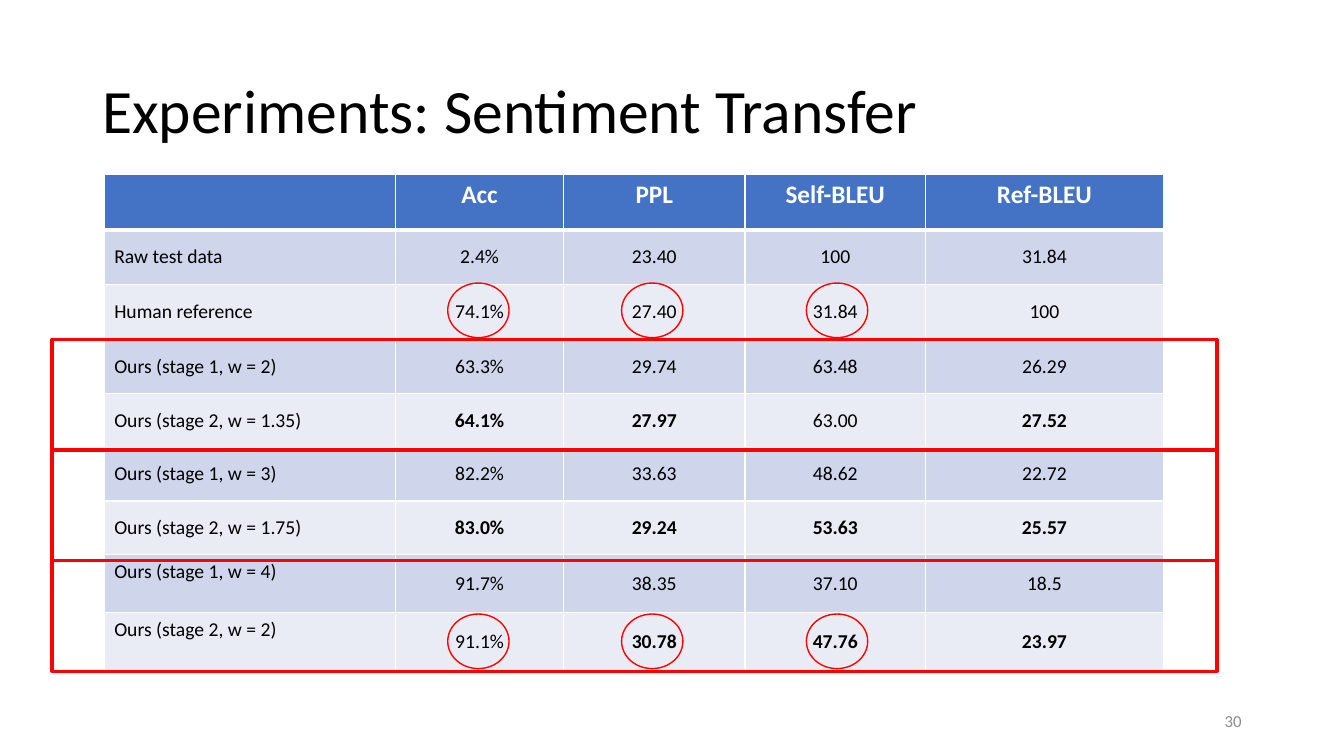
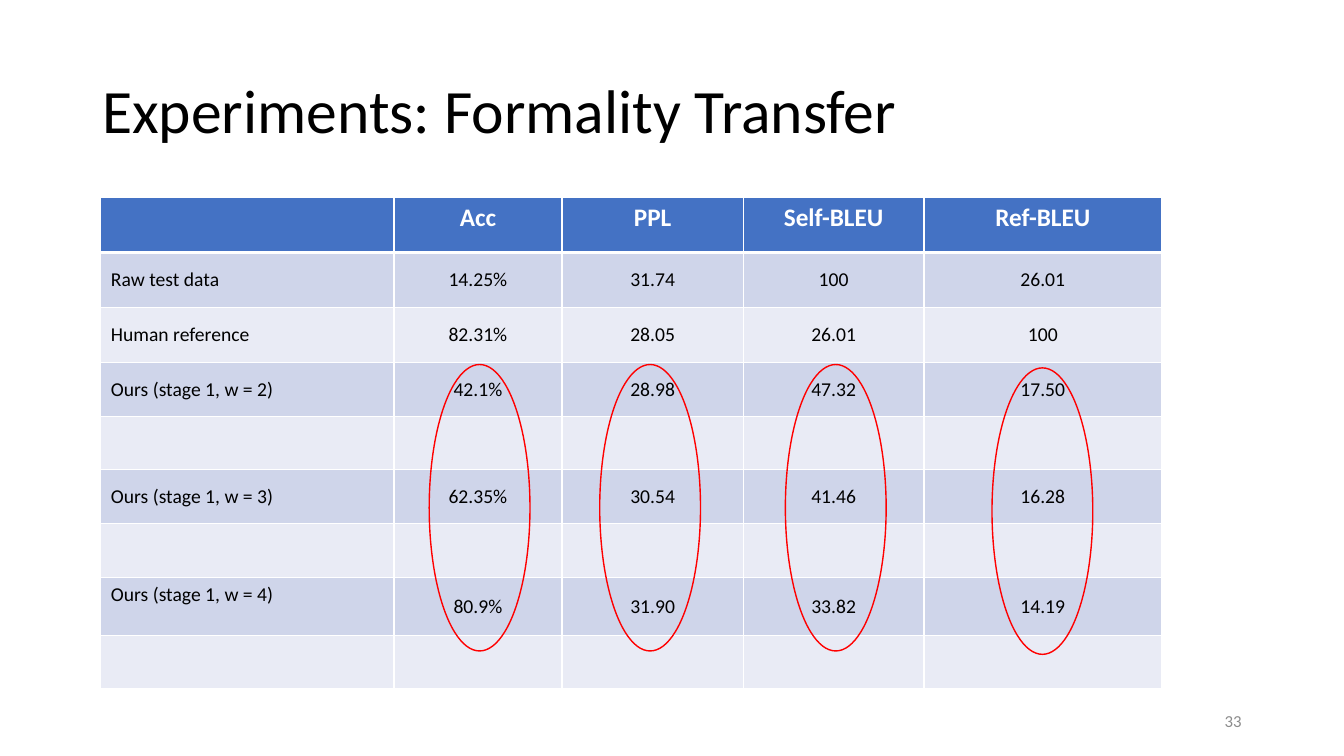
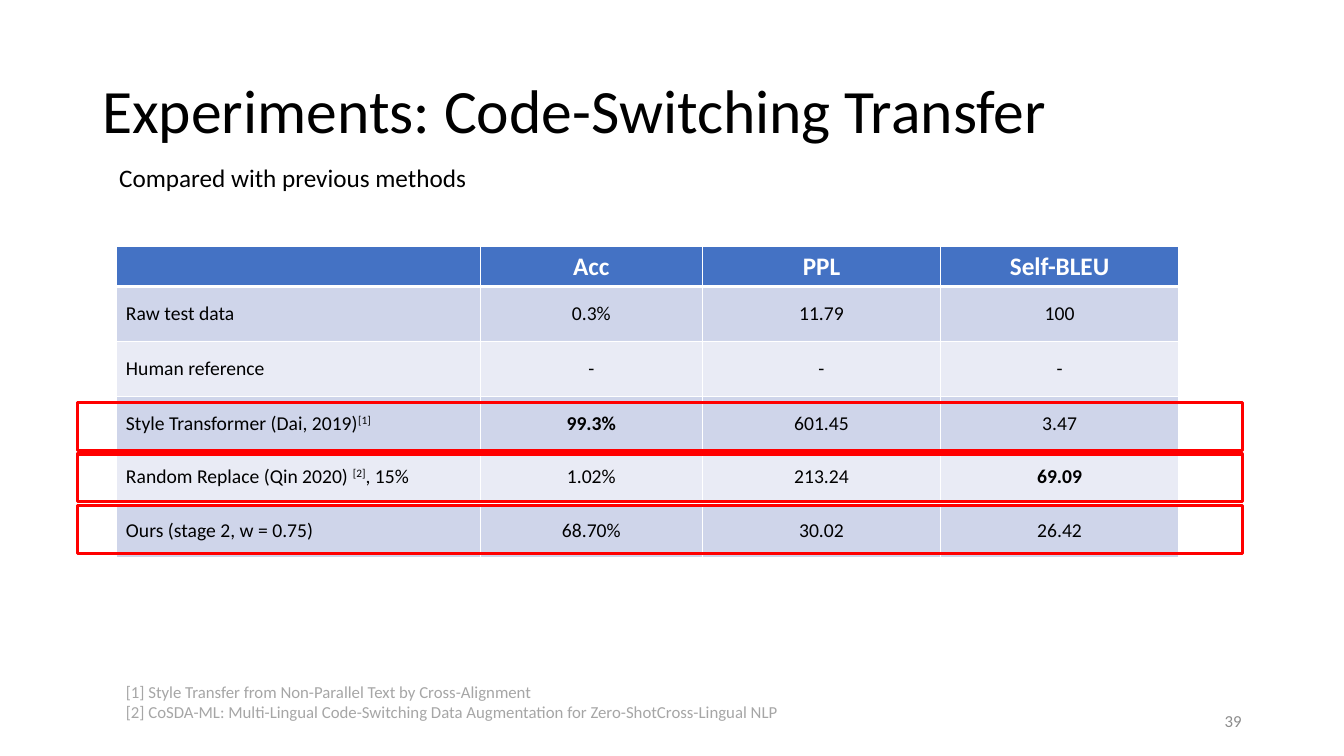
from dataclasses import dataclass

from lxml import etree
from pptx import Presentation, util as u
from pptx.dml.color import RGBColor
from pptx.enum import shapes, text
from pptx.oxml import ns

COLUMNS, ROWS = 160, 90
PITCH = 76200
FONT = "Calibri"
BLACK, WHITE, RED = "000000", "FFFFFF", "FF0000"
HEADER_BLUE, BANDS = "4472C4", ("CFD5EA", "E9EBF5")
NUMBER_GREY, REFERENCE_GREY = "8C8C8C", "A6A6A6"
LEFT, CENTER, RIGHT = text.PP_ALIGN.LEFT, text.PP_ALIGN.CENTER, text.PP_ALIGN.RIGHT
TOP, MIDDLE = text.MSO_ANCHOR.TOP, text.MSO_ANCHOR.MIDDLE
RECTANGLE, OVAL = shapes.MSO_SHAPE.RECTANGLE, shapes.MSO_SHAPE.OVAL
TALL_ROW, BODY_ROW, RAISED_ROW = 6.55, 6.4, 6.9


@dataclass(frozen=True)
class Area:
    """A rectangle in grid columns and rows."""
    left: float
    top: float
    width: float
    height: float


@dataclass(frozen=True)
class Result:
    """One table row; raised lifts the label above the row's middle."""
    label: str = ""
    values: tuple[str, ...] = ()
    bold: tuple[int, ...] = ()
    raised: bool = False


@dataclass(frozen=True)
class ResultTable:
    left: float
    top: float
    widths: tuple[float, ...]
    header_height: float
    results: tuple[Result, ...]


@dataclass(frozen=True)
class Mark:
    """A red outline drawn over the table."""
    area: Area
    shape: shapes.MSO_SHAPE
    weight: float


@dataclass(frozen=True)
class Note:
    area: Area
    lines: tuple[str, ...]
    size: float
    color: str


@dataclass(frozen=True)
class Experiment:
    name: str
    number: int
    table: ResultTable
    marks: tuple[Mark, ...]
    notes: tuple[Note, ...] = ()


def grid(steps: float) -> u.Emu:
    return u.Emu(round(steps * PITCH))


def rgb(color: str) -> RGBColor:
    return RGBColor.from_string(color)


def box_of(area: Area) -> tuple[u.Emu, ...]:
    return grid(area.left), grid(area.top), grid(area.width), grid(area.height)


def style(para, size: float, color: str, bold: bool = False, align=LEFT) -> None:
    para.alignment = align
    for span in para.runs:
        span.font.name = FONT
        span.font.size = u.Pt(size)
        span.font.bold = bold
        span.font.color.rgb = rgb(color)


def add_text(page, area: Area, lines: tuple[str, ...], size: float, color: str = BLACK,
             align=LEFT, anchor=TOP, spacing: float = 1.0) -> None:
    frame = page.shapes.add_textbox(*box_of(area)).text_frame
    frame.word_wrap = True
    frame.vertical_anchor = anchor
    frame.text = "\n".join(lines)
    for para in frame.paragraphs:
        para.line_spacing = spacing
        style(para, size, color, align=align)


def border(cell, side: str, weight: float) -> None:
    line = etree.SubElement(cell._tc.get_or_add_tcPr(), ns.qn(f"a:ln{side}"), w=str(u.Pt(weight)))
    fill = etree.SubElement(line, ns.qn("a:solidFill"))
    etree.SubElement(fill, ns.qn("a:srgbClr"), val=WHITE)


def paint_cell(cell, row: int) -> None:
    """Fill a cell and give it white borders, thick under the header."""
    for side in "LRTB":
        thick = (row, side) in ((0, "B"), (1, "T"))
        border(cell, side, 3 if thick else 1)
    cell.fill.solid()
    cell.fill.fore_color.rgb = rgb(BANDS[(row - 1) % 2] if row else HEADER_BLUE)


def write_label(para, label: str) -> None:
    """Write a label in which carets enclose superscript text."""
    for index, part in enumerate(label.split("^")):
        if part:
            span = para.add_run()
            span.text = part
            if index % 2:
                span._r.get_or_add_rPr().set("baseline", "30000")


def row_height(row: int, result: Result) -> float:
    if result.raised:
        return RAISED_ROW
    return TALL_ROW if row <= 2 else BODY_ROW


def add_results(page, plan: ResultTable) -> None:
    metrics = ("Acc", "PPL", "Self-BLEU", "Ref-BLEU")[:len(plan.widths) - 1]
    heights = [plan.header_height,
               *(row_height(row, result) for row, result in enumerate(plan.results, 1))]
    area = Area(plan.left, plan.top, sum(plan.widths), sum(heights))
    table = page.shapes.add_table(len(heights), len(plan.widths), *box_of(area)).table
    for column, width in zip(table.columns, plan.widths):
        column.width = grid(width)
    for row, height in zip(table.rows, heights):
        row.height = grid(height)
    for row, result in enumerate((Result("", metrics), *plan.results)):
        for column in range(len(plan.widths)):
            cell = table.cell(row, column)
            paint_cell(cell, row)
            para = cell.text_frame.paragraphs[0]
            if column == 0:
                write_label(para, result.label)
            elif result.values:
                para.text = result.values[column - 1]
            align = CENTER if column else LEFT
            if row == 0:
                style(para, 18, WHITE, True, align)
            else:
                cell.vertical_anchor = MIDDLE
                style(para, 14, BLACK, column in result.bold, align)
        if result.raised:
            table.cell(row, 0).margin_bottom = grid(3.4)


def add_mark(page, mark: Mark) -> None:
    outline = page.shapes.add_shape(mark.shape, *box_of(mark.area))
    outline.shadow.inherit = False
    outline.fill.background()
    outline.line.color.rgb = rgb(RED)
    outline.line.width = u.Pt(mark.weight)


def frames(left: float, top: float, pitch: float, height: float) -> tuple[Mark, ...]:
    """Three wide frames, one below another."""
    return tuple(Mark(Area(left, top + index * pitch, 138.7, height), RECTANGLE, 2.25)
                 for index in range(3))


def ring(left: float, top: float, width: float, height: float) -> Mark:
    return Mark(Area(left, top, width, height), OVAL, 1)


def add_experiment(deck, experiment: Experiment) -> None:
    page = deck.slides.add_slide(deck.slide_layouts[6])
    add_text(page, Area(11, 4.8, 138, 17.4), (f"Experiments: {experiment.name} Transfer",), 44,
             anchor=MIDDLE, spacing=0.9)
    add_text(page, Area(113, 83.4, 36, 4.8), (str(experiment.number),), 12, NUMBER_GREY,
             RIGHT, MIDDLE)
    add_results(page, experiment.table)
    for note in experiment.notes:
        add_text(page, note.area, note.lines, note.size, note.color)
    for mark in experiment.marks:
        add_mark(page, mark)


METRIC_WIDTHS = (20, 21.6, 21.5, 28.3)

SENTIMENT = Experiment(
    "Sentiment", 30,
    ResultTable(12.4, 20.8, (34.7, *METRIC_WIDTHS), TALL_ROW, (
        Result("Raw test data", ("2.4%", "23.40", "100", "31.84")),
        Result("Human reference", ("74.1%", "27.40", "31.84", "100")),
        Result("Ours (stage 1, w = 2)", ("63.3%", "29.74", "63.48", "26.29")),
        Result("Ours (stage 2, w = 1.35)", ("64.1%", "27.97", "63.00", "27.52"), (1, 2, 4)),
        Result("Ours (stage 1, w = 3)", ("82.2%", "33.63", "48.62", "22.72")),
        Result("Ours (stage 2, w = 1.75)", ("83.0%", "29.24", "53.63", "25.57"), (1, 2, 3, 4)),
        Result("Ours (stage 1, w = 4)", ("91.7%", "38.35", "37.10", "18.5"), raised=True),
        Result("Ours (stage 2, w = 2)", ("91.1%", "30.78", "47.76", "23.97"), (2, 3, 4), True),
    )),
    frames(6.2, 40.4, 13.15, 13.2)
    + tuple(ring(left, top, 7.3, 6.5) for left in (53.3, 74, 96) for top in (73.1, 33.7)),
)

FORMALITY = Experiment(
    "Formality", 33,
    ResultTable(12, 23.5, (34.9, *METRIC_WIDTHS), TALL_ROW, (
        Result("Raw test data", ("14.25%", "31.74", "100", "26.01")),
        Result("Human reference", ("82.31%", "28.05", "26.01", "100")),
        Result("Ours (stage 1, w = 2)", ("42.1%", "28.98", "47.32", "17.50")),
        Result(),
        Result("Ours (stage 1, w = 3)", ("62.35%", "30.54", "41.46", "16.28")),
        Result(),
        Result("Ours (stage 1, w = 4)", ("80.9%", "31.90", "33.82", "14.19"), raised=True),
        Result(),
    )),
    tuple(ring(left, top, 12, 34.1)
          for left, top in ((51.1, 43.4), (71.4, 43.4), (93.5, 43.4), (118.1, 43.8))),
)

CODE_SWITCHING = Experiment(
    "Code-Switching", 39,
    ResultTable(13.8, 29.3, (43.4, 26.4, 28.4, 28.3), 4.8, (
        Result("Raw test data", ("0.3%", "11.79", "100")),
        Result("Human reference", ("-", "-", "-")),
        Result("Style Transformer (Dai, 2019)^[1]^", ("99.3%", "601.45", "3.47"), (1,)),
        Result("Random Replace (Qin 2020) ^[2]^, 15%", ("1.02%", "213.24", "69.09"), (3,)),
        Result("Ours (stage 2, w = 0.75)", ("68.70%", "30.02", "26.42")),
    )),
    frames(9.2, 47.9, 6.15, 5.7),
    (
        Note(Area(13.8, 80.6, 81.1, 8.5), (
            "[1] Style Transfer from Non-Parallel Text by Cross-Alignment",
            "[2] CoSDA-ML: Multi-Lingual Code-Switching Data Augmentation "
            "for Zero-ShotCross-Lingual NLP",
        ), 12, REFERENCE_GREY),
        Note(Area(13, 18.7, 104.9, 4.8), ("Compared with previous methods",), 18, BLACK),
    ),
)


def main() -> None:
    deck = Presentation()
    deck.slide_width, deck.slide_height = grid(COLUMNS), grid(ROWS)
    for experiment in (SENTIMENT, FORMALITY, CODE_SWITCHING):
        add_experiment(deck, experiment)
    deck.save("out.pptx")


if __name__ == "__main__":
    main()
